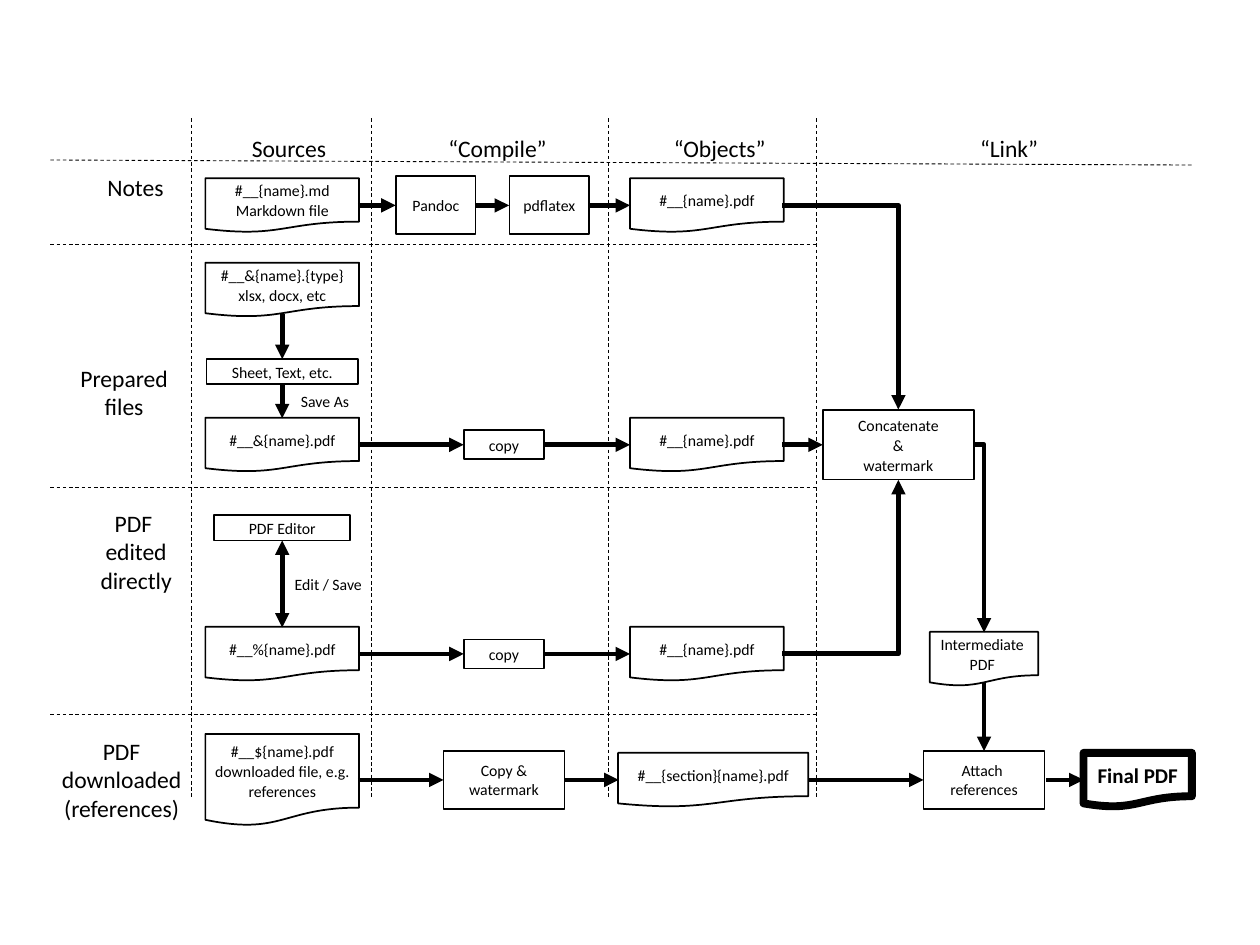
from typing import NamedTuple

from lxml.etree import SubElement
from pptx import Presentation
from pptx.dml.color import RGBColor
from pptx.enum.dml import MSO_LINE
from pptx.enum.shapes import MSO_CONNECTOR as Route, MSO_SHAPE as Preset
from pptx.enum.text import MSO_ANCHOR, MSO_AUTO_SIZE, PP_ALIGN
from pptx.oxml.ns import qn
from pptx.util import Inches, Pt

BLACK, WHITE = "000000", "FFFFFF"
DOCUMENT, PROCESS = Preset.FLOWCHART_DOCUMENT, Preset.FLOWCHART_PROCESS
NOTES, PREPARED, EDITED, DOWNLOADED = 1.63, 3.53, 5.19, 6.19
SOURCE, COPY, OBJECT, MERGE, RESULT = 2.24, 4, 5.61, 7.13, 7.81


class Step(NamedTuple):
    text: str
    x: float
    y: float
    width: float
    height: float
    preset: Preset = PROCESS
    spacing: float = 1
    size: float = 9
    border: float = 1
    bold: bool = False


class Label(NamedTuple):
    text: str
    left: float
    top: float
    width: float
    height: float
    size: float = 13.5
    align: PP_ALIGN = PP_ALIGN.LEFT
    wrap: bool = False


class Flow(NamedTuple):
    x1: float
    y1: float
    x2: float
    y2: float
    ends: tuple = ("tailEnd",)


def document(text: str, x: float, y: float, width: float = 1.22, height: float = 0.43, **style) -> Step:
    return Step(text, x, y, width, height, DOCUMENT, 1.06, **style)


def color(value: str) -> RGBColor:
    return RGBColor.from_string(value)


def write(frame, text: str, size: float, align: PP_ALIGN, bold: bool = False):
    frame.text = text
    paragraph = frame.paragraphs[0]
    paragraph.alignment = align
    for run in paragraph.runs:
        run.font.name = "Calibri"
        run.font.size = Pt(size)
        run.font.bold = bold
        run.font.color.rgb = color(BLACK)
    return paragraph


def draw_step(shapes, step: Step) -> None:
    box = shapes.add_shape(step.preset, Inches(step.x - step.width / 2), Inches(step.y - step.height / 2),
                           Inches(step.width), Inches(step.height))
    box.shadow.inherit = False
    box.fill.solid()
    box.fill.fore_color.rgb = color(WHITE)
    box.line.color.rgb = color(BLACK)
    box.line.width = Pt(step.border)
    frame = box.text_frame
    frame.word_wrap = True
    frame.vertical_anchor = MSO_ANCHOR.MIDDLE
    frame.margin_left = frame.margin_right = Inches(0.07)
    frame.margin_top = frame.margin_bottom = Inches(0.04)
    paragraph = write(frame, step.text, step.size, PP_ALIGN.CENTER, step.bold)
    if step.spacing > 1:
        paragraph.line_spacing = step.spacing
        paragraph.space_after = Pt(6)


def draw_label(shapes, label: Label) -> None:
    frame = shapes.add_textbox(Inches(label.left), Inches(label.top),
                               Inches(label.width), Inches(label.height)).text_frame
    frame.word_wrap = label.wrap
    frame.auto_size = MSO_AUTO_SIZE.SHAPE_TO_FIT_TEXT
    write(frame, label.text, label.size, label.align)


def draw_line(shapes, x1: float, y1: float, x2: float, y2: float, width: float, route: Route = Route.STRAIGHT):
    line = shapes.add_connector(route, Inches(x1), Inches(y1), Inches(x2), Inches(y2))
    line.line.color.rgb = color(BLACK)
    line.line.width = Pt(width)
    SubElement(line.element.spPr, qn("a:effectLst"))
    return line


def draw_flow(shapes, flow: Flow) -> None:
    bent = flow.x1 != flow.x2 and flow.y1 != flow.y2
    arrow = draw_line(shapes, flow.x1, flow.y1, flow.x2, flow.y2, 2.75, Route.ELBOW if bent else Route.STRAIGHT)
    if bent:
        arrow.element.spPr.find(qn("a:prstGeom")).set("prst", "bentConnector2")
    outline = arrow.line._get_or_add_ln()
    for end in flow.ends:
        SubElement(outline, qn(f"a:{end}"), type="triangle")


def draw_divider(shapes, x1: float, y1: float, x2: float, y2: float) -> None:
    draw_line(shapes, x1, y1, x2, y2, 0.5).line.dash_style = MSO_LINE.DASH


STEPS = [
    document("#__{name}.md\vMarkdown file", SOURCE, NOTES),
    document("#__&{name}.{type}\vxlsx, docx, etc", SOURCE, 2.3),
    document("#__&{name}.pdf", SOURCE, PREPARED),
    document("#__%{name}.pdf", SOURCE, EDITED),
    document("#__${name}.pdf\vdownloaded file, e.g. references", SOURCE, DOWNLOADED, height=0.73),
    Step("Sheet, Text, etc.", SOURCE, 2.95, 1.2, 0.2, spacing=1.05),
    Step("PDF Editor", SOURCE, 4.19, 1.08, 0.2),
    Step("Pandoc", 3.46, NOTES, 0.63, 0.46),
    Step("pdflatex", 4.36, NOTES, 0.63, 0.46),
    *(Step("copy", COPY, row, 0.63, 0.23) for row in (PREPARED, EDITED)),
    Step("Copy & watermark", COPY, DOWNLOADED, 0.96, 0.46),
    *(document("#__{name}.pdf", OBJECT, row) for row in (NOTES, PREPARED, EDITED)),
    document("#__{section}{name}.pdf", 5.66, DOWNLOADED, 1.51),
    Step("Concatenate\v&\vwatermark", MERGE, PREPARED, 1.2, 0.55, spacing=1.06),
    document("Intermediate \vPDF ", RESULT, 5.23, 0.86),
    Step("Attach \vreferences", RESULT, DOWNLOADED, 0.96, 0.46),
    document("Final PDF", 9.03, DOWNLOADED, 0.86, size=12, border=4.5, bold=True),
]

LABELS = [
    Label("Notes", 0.7, 1.32, 0.75, 0.33, align=PP_ALIGN.CENTER, wrap=True),
    Label("Prepared\vfiles", 0.53, 2.84, 0.91, 0.56, align=PP_ALIGN.CENTER),
    Label("PDF \vedited\vdirectly", 0.69, 3.99, 0.78, 0.78, align=PP_ALIGN.CENTER),
    Label("PDF\vdownloaded\v(references)", 0.38, 5.8, 1.17, 0.78, align=PP_ALIGN.CENTER),
    Label("Sources", 1.9, 1.01, 0.8, 0.33),
    Label("“Compile”", 3.46, 1.01, 0.99, 0.33),
    Label("“Objects”", 5.25, 1.01, 0.94, 0.33),
    Label("“Link”", 7.68, 1.01, 0.67, 0.33),
    Label("Save As", 2.29, 3.06, 0.59, 0.25, 9),
    Label("Edit / Save", 2.24, 4.51, 0.75, 0.25, 9),
]

FLOWS = [
    Flow(2.84, NOTES, 3.14, NOTES),
    Flow(3.77, NOTES, 4.04, NOTES),
    Flow(4.67, NOTES, 5, NOTES),
    *(Flow(x1, row, x2, row) for row in (PREPARED, EDITED) for x1, x2 in ((2.84, 3.68), (4.32, 5))),
    *(Flow(x1, DOWNLOADED, x2, DOWNLOADED)
      for x1, x2 in ((2.84, 3.52), (4.48, 4.91), (6.42, 7.33), (8.3, 8.6))),
    Flow(SOURCE, 2.49, SOURCE, 2.85),
    Flow(SOURCE, 3.04, SOURCE, 3.32),
    Flow(SOURCE, 4.29, SOURCE, 4.98, ("headEnd", "tailEnd")),
    Flow(6.21, NOTES, MERGE, 3.25),
    Flow(6.21, PREPARED, 6.53, PREPARED),
    Flow(6.21, EDITED, MERGE, 3.81),
    Flow(7.73, PREPARED, RESULT, 5.02),
    Flow(RESULT, 5.42, RESULT, 5.96),
]


def main() -> None:
    deck = Presentation()
    deck.slide_width, deck.slide_height = Inches(10), Inches(7.5)
    shapes = deck.slides.add_slide(deck.slide_layouts[6]).shapes
    for step in STEPS:
        draw_step(shapes, step)
    for label in LABELS:
        draw_label(shapes, label)
    for flow in FLOWS:
        draw_flow(shapes, flow)
    for y in (1.94, 3.87, 5.67):
        draw_divider(shapes, 0.4, y, 6.48, y)
    for x in (1.52, 2.95, 4.83, 6.48):
        draw_divider(shapes, x, 0.94, x, 6.34)
    draw_divider(shapes, 0.4, 1.27, 9.46, 1.31)
    deck.save("out.pptx")


main()
